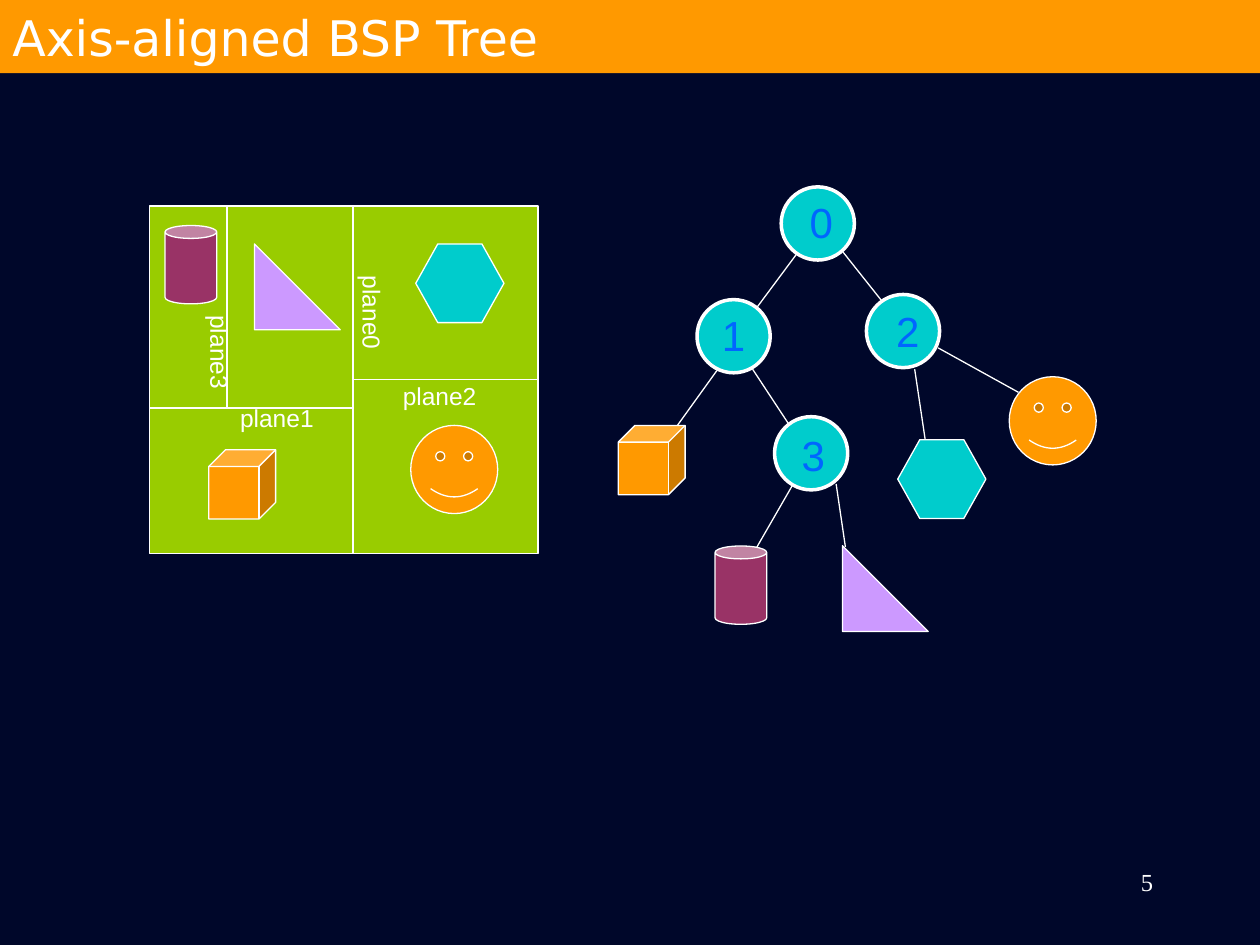
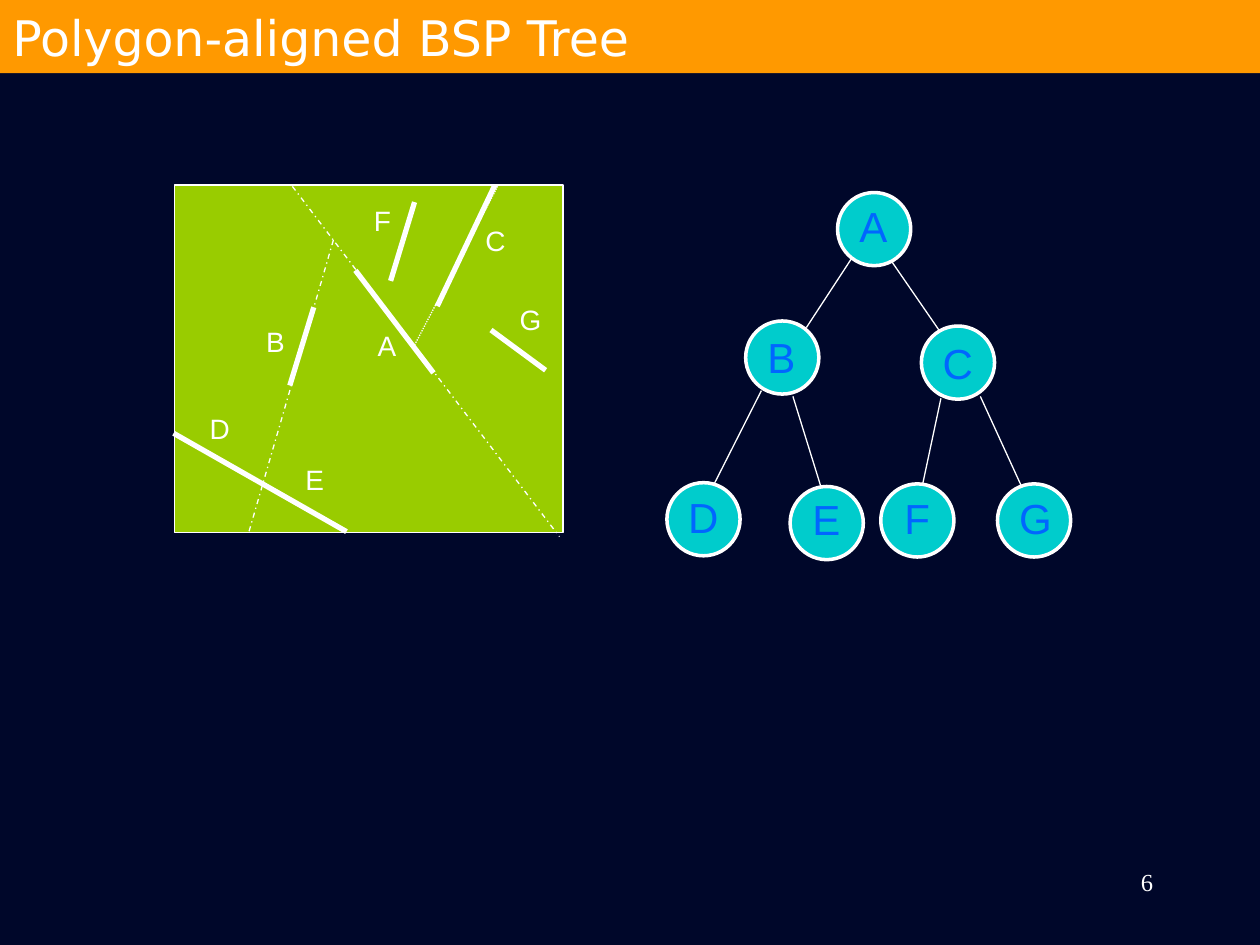
from lxml import etree
from pptx import Presentation
from pptx.dml.color import RGBColor
from pptx.enum import dml, shapes, text
from pptx.oxml import ns
from pptx.util import Pt

NAVY, ORANGE, WHITE = "00072A", "FF9900", "FFFFFF"
GREEN, TEAL, BLUE = "99CC00", "00CCCC", "0066FF"
PLUM, LILAC = "993366", "CC99FF"

KIND = shapes.MSO_SHAPE
DASH = dml.MSO_LINE
MAP_SIZE = (222, 198.7)
NODE_SIZE = 41.8
LETTER_WIDTHS = {"A": 0.67, "B": 0.67, "C": 0.72, "D": 0.72,
                 "E": 0.67, "F": 0.61, "G": 0.78}
DIGIT_WIDTH = 0.56

OBJECTS = {
    "hexagon": (KIND.HEXAGON, 50.4, 45, TEAL, 0.28),
    "triangle": (KIND.RIGHT_TRIANGLE, 49, 49, LILAC, None),
    "cube": (KIND.CUBE, 38.2, 39.6, ORANGE, 0.25),
    "smiley": (KIND.SMILEY_FACE, 49.7, 50.4, ORANGE, 0.09),
    "can": (KIND.CAN, 29.5, 44.8, PLUM, 0.25),
}


def color(value):
    return RGBColor.from_string(value)


def add_run(paragraph, content, size, font, fill):
    run = paragraph.add_run()
    run.text = content
    run.font.size = Pt(size)
    run.font.name = font
    run.font.color.rgb = color(fill)


def add_filled(slide, kind, left, top, width, height, fill, line_width=0.75):
    shape = slide.shapes.add_shape(kind, Pt(left), Pt(top), Pt(width), Pt(height))
    shape.shadow.inherit = False
    shape.fill.solid()
    shape.fill.fore_color.rgb = color(fill)
    if line_width:
        shape.line.color.rgb = color(WHITE)
        shape.line.width = Pt(line_width)
    else:
        shape.line.fill.background()
    return shape


def add_object(slide, name, left, top):
    kind, width, height, fill, adjustment = OBJECTS[name]
    shape = add_filled(slide, kind, left, top, width, height, fill)
    if adjustment is not None:
        shape.adjustments[0] = adjustment


def add_line(slide, origin, start, end, width=0.75, dash=None):
    left, top = origin
    line = slide.shapes.add_connector(
        shapes.MSO_CONNECTOR.STRAIGHT,
        Pt(left + start[0]), Pt(top + start[1]), Pt(left + end[0]), Pt(top + end[1]))
    line.line.color.rgb = color(WHITE)
    line.line.width = Pt(width)
    if dash:
        line.line.dash_style = dash
    etree.SubElement(line.element.spPr, ns.qn("a:effectLst"))


def add_label(slide, content, left, top, width, height, size, fill=WHITE, vertical=False):
    box = slide.shapes.add_textbox(Pt(left), Pt(top), Pt(width), Pt(height))
    frame = box.text_frame
    frame.word_wrap = False
    frame.auto_size = text.MSO_AUTO_SIZE.SHAPE_TO_FIT_TEXT
    if vertical:
        frame.margin_left = frame.margin_right = Pt(3.6)
        frame.margin_top = frame.margin_bottom = Pt(7.2)
        frame._txBody.bodyPr.set("vert", "eaVert")
    add_run(frame.paragraphs[0], content, size, "Arial", fill)


def letter_box(letter, size):
    return 14.4 + LETTER_WIDTHS.get(letter, DIGIT_WIDTH) * size, 7.2 + 1.2 * size


def add_page(presentation, number):
    slide = presentation.slides.add_slide(presentation.slide_layouts[6])
    slide.background.fill.solid()
    slide.background.fill.fore_color.rgb = color(NAVY)
    box = slide.shapes.add_textbox(Pt(516.2), Pt(491.8), Pt(149.8), Pt(36))
    box.text_frame.word_wrap = True
    paragraph = box.text_frame.paragraphs[0]
    paragraph.alignment = text.PP_ALIGN.RIGHT
    paragraph.space_before = Pt(8.8)
    add_run(paragraph, str(number), 14, "Times New Roman", WHITE)
    return slide


def add_title_band(slide, title):
    band = add_filled(slide, KIND.RECTANGLE, 0, 0, 720, 41.8, ORANGE, 0)
    band.text_frame.vertical_anchor = text.MSO_ANCHOR.MIDDLE
    paragraph = band.text_frame.paragraphs[0]
    paragraph.alignment = text.PP_ALIGN.LEFT
    add_run(paragraph, title, 28, "DejaVu Sans", WHITE)


def add_plane_map(slide, left, top):
    width, height = MAP_SIZE
    add_filled(slide, KIND.RECTANGLE, left, top, width, height, GREEN)
    for name, x, y in [("hexagon", 152.1, 21.6), ("triangle", 59.9, 21.6),
                       ("cube", 33.8, 139.2), ("smiley", 149.2, 125.3),
                       ("can", 8.8, 11.1)]:
        add_object(slide, name, left + x, top + y)
    split_x, upper_y, lower_y, can_x = 116.2, 98.9, 115.4, 44.2
    for start, end in [((split_x, 0), (split_x, height)),
                       ((split_x, upper_y), (width + 0.5, upper_y)),
                       ((0.5, lower_y), (split_x + 0.5, lower_y)),
                       ((can_x, lower_y), (can_x, 0.5))]:
        add_line(slide, (left, top), start, end)
    for name, x, y, vertical in [("plane1", 44.6, 109, False),
                                 ("plane0", 108.4, 32.5, True),
                                 ("plane2", 137.6, 96.4, False),
                                 ("plane3", 21.3, 55.2, True)]:
        size = (31, 57) if vertical else (58, 24.5)
        add_label(slide, name, left + x, top + y, *size, 14, vertical=vertical)


def add_polygon_map(slide, left, top):
    add_filled(slide, KIND.RECTANGLE, left, top, *MAP_SIZE, GREEN)
    for start, end, dash in [((67.3, 0.7), (219.9, 200.9), DASH.DASH_DOT),
                             ((90.7, 31.4), (42.1, 199.4), DASH.DASH_DOT),
                             ((137.1, 91.4), (184.6, 0.7), DASH.ROUND_DOT)]:
        add_line(slide, (left, top), start, end, dash=dash)
    for start, end in [((103.3, 48.7), (147.9, 107.3)),
                       ((79.5, 69.8), (65.8, 114.5)),
                       ((137.1, 9.7), (123.4, 54.7)),
                       ((98.2, 198), (-0.6, 141.8)),
                       ((183, 0), (150.1, 69.1)),
                       ((212, 105.8), (180.8, 82.8))]:
        add_line(slide, (left, top), start, end, 3)
    for letter, x, y in [("A", 108.9, 78.5), ("B", 45.2, 76), ("C", 170.5, 18.4),
                         ("D", 12.9, 125.7), ("E", 67.6, 154.8), ("F", 106.8, 7.2),
                         ("G", 190, 63.4)]:
        add_label(slide, letter, left + x, top + y, *letter_box(letter, 16), 16)


def add_tree(slide, left, top, nodes, edges, leaves=()):
    for start, end in edges:
        add_line(slide, (left, top), start, end)
    for name, x, y in leaves:
        add_object(slide, name, left + x, top + y)
    for name, x, y, shift_x, shift_y in nodes:
        add_filled(slide, KIND.OVAL, left + x, top + y, NODE_SIZE, NODE_SIZE, TEAL, 2)
        width, height = letter_box(name, 24)
        add_label(slide, name, left + x + (NODE_SIZE - width) / 2 + shift_x,
                  top + y + shift_y, width, height, 24, BLUE)


def add_axis_slide(presentation):
    slide = add_page(presentation, 5)
    add_plane_map(slide, 85.5, 117.8)
    nodes = [("0", 92.9, 0.2, 2.2, 2.2), ("1", 44.8, 64.6, 0.2, 2.2),
             ("2", 141.6, 61.7, 2.9, 2.9), ("3", 89.1, 131.5, 1.4, 3.6)]
    edges = [((101.5, 38.9), (78.5, 69.8)), ((128.2, 37.4), (150.5, 65.5)),
             ((56.2, 105.1), (33.1, 137.2)), ((76.6, 104.4), (97.9, 136.8)),
             ((99.4, 170.6), (78.5, 206.9)), ((124.3, 169.9), (129.6, 205.9)),
             ((169.2, 104.4), (175.2, 144.7)), ((182.6, 92.2), (228.5, 117.6))]
    leaves = [("cube", -0.2, 136.5), ("can", 55.1, 205.4), ("triangle", 127.9, 205.2),
              ("hexagon", 159.5, 144.7), ("smiley", 223.2, 108.7)]
    add_tree(slide, 353.5, 106.6, nodes, edges, leaves)
    add_title_band(slide, "Axis-aligned BSP Tree")


def add_polygon_slide(presentation):
    slide = add_page(presentation, 6)
    add_polygon_map(slide, 99.8, 105.8)
    nodes = [("A", 97.7, -0.2, -0.3, 0.9), ("B", 45.2, 73.2, -0.3, 2.4),
             ("C", 145.6, 76.1, 0, 3.1), ("D", 0.2, 165.6, 0, 1.4),
             ("E", 70.6, 167.8, 0, 0.7), ("F", 122.4, 166.3, 0, 1.4),
             ("G", 189.1, 166.3, 1, 1.4)]
    edges = [((105.8, 37.4), (79.9, 77)), ((128.9, 39.6), (156.2, 79.2)),
             ((54.2, 113), (27.4, 166)), ((72.2, 116.3), (88.6, 169.2)),
             ((156.8, 117.4), (146.4, 166.3)), ((179.3, 116.3), (202.5, 167))]
    add_tree(slide, 380.9, 110.2, nodes, edges)
    add_title_band(slide, "Polygon-aligned BSP Tree")


def main():
    presentation = Presentation()
    presentation.slide_width = Pt(720)
    presentation.slide_height = Pt(540)
    add_axis_slide(presentation)
    add_polygon_slide(presentation)
    presentation.save("out.pptx")


if __name__ == "__main__":
    main()
